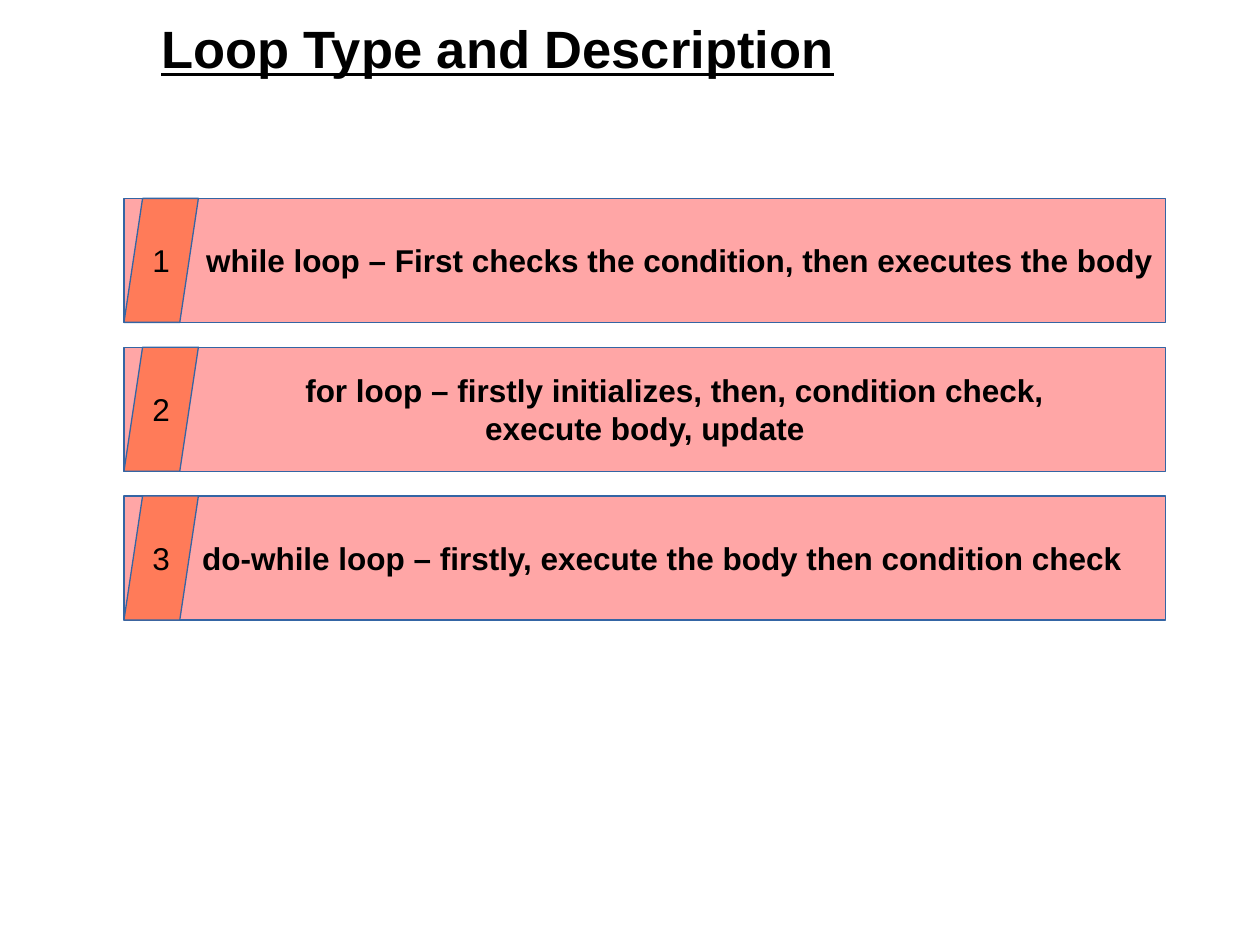
import pptx
import pptx.dml.color
import pptx.enum.shapes
import pptx.enum.text
import pptx.util

Cm = pptx.util.Cm
Pt = pptx.util.Pt
RGBColor = pptx.dml.color.RGBColor
MSO_SHAPE = pptx.enum.shapes.MSO_SHAPE
PP_ALIGN = pptx.enum.text.PP_ALIGN

BLACK = RGBColor(0x00, 0x00, 0x00)
PINK = RGBColor(0xFF, 0xA6, 0xA6)
ORANGE = RGBColor(0xFF, 0x7B, 0x59)
BLUE = RGBColor(0x34, 0x65, 0xA4)

TITLE = "Loop Type and Description"
# Each loop is a list of lines: (text, left indent in cm)
LOOPS = [
    [("while loop – First checks the condition, then executes the body", 1.4)],
    [("for loop – firstly initializes, then, condition check,", 1.2),
     ("execute body, update", 0)],
    [("do-while loop – firstly, execute the body then condition check", 0.7)],
]

ROW_LEFT, ROW_TOP = 2.5, 4
ROW_WIDTH, ROW_HEIGHT, ROW_PITCH = 21, 2.5, 3
NUMBER_WIDTH = 1.5


def format_font(paragraph, size, bold):
    for run in paragraph.runs:
        run.font.name = "Arial"
        run.font.size = Pt(size)
        run.font.bold = bold
        run.font.color.rgb = BLACK


def add_panel(group, kind, top, width, fill, lines, bold):
    shape = group.shapes.add_shape(
        kind, Cm(ROW_LEFT), Cm(top), Cm(width), Cm(ROW_HEIGHT))
    shape.shadow.inherit = False
    shape.fill.solid()
    shape.fill.fore_color.rgb = fill
    shape.line.color.rgb = BLUE
    shape.line.width = Pt(0)
    frame = shape.text_frame
    frame.word_wrap = False
    frame.vertical_anchor = pptx.enum.text.MSO_ANCHOR.MIDDLE
    frame.text = "\n".join(text for text, indent in lines)
    for paragraph, (text, indent) in zip(frame.paragraphs, lines):
        paragraph.alignment = PP_ALIGN.CENTER
        if indent:
            properties = paragraph._p.get_or_add_pPr()
            properties.set("marL", str(Cm(indent)))
            properties.set("indent", "0")
        format_font(paragraph, 18, bold)
    return shape


presentation = pptx.Presentation()
presentation.slide_width = Cm(25.4)
presentation.slide_height = Cm(19.05)
slide = presentation.slides.add_slide(presentation.slide_layouts[6])

title = slide.shapes.add_textbox(Cm(3), Cm(0.2), Cm(17), Cm(2.8))
title.text_frame.word_wrap = True
title.text_frame.text = TITLE
title_paragraph = title.text_frame.paragraphs[0]
format_font(title_paragraph, 30, True)
title_paragraph.runs[0].font.underline = True

for index, lines in enumerate(LOOPS):
    top = ROW_TOP + index * ROW_PITCH
    group = slide.shapes.add_group_shape()
    add_panel(group, MSO_SHAPE.RECTANGLE, top, ROW_WIDTH, PINK, lines, True)
    number = add_panel(group, MSO_SHAPE.PARALLELOGRAM, top, NUMBER_WIDTH,
                       ORANGE, [(str(index + 1), 0)], False)
    number.adjustments[0] = 0.25

presentation.save("out.pptx")
